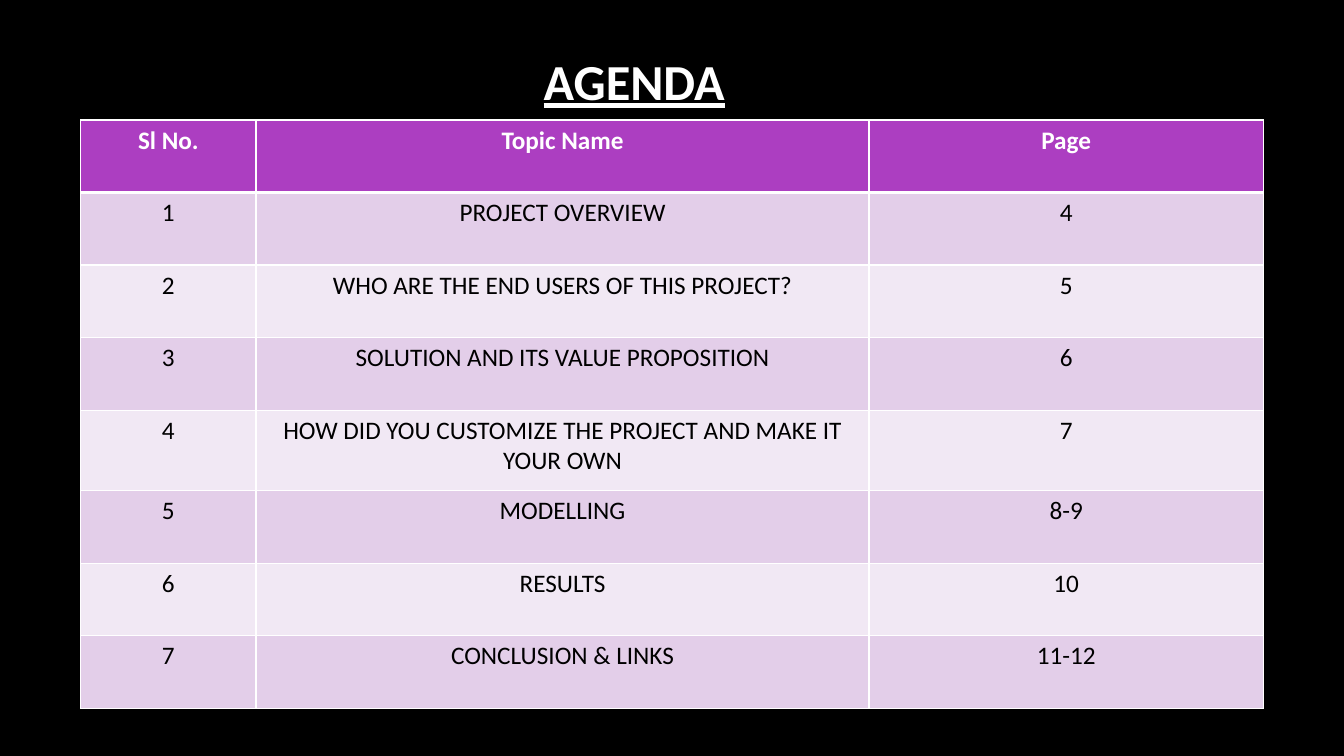
import dataclasses

import pptx
import pptx.dml.color
import pptx.enum.text
import pptx.oxml
import pptx.oxml.ns
import pptx.util

Inches = pptx.util.Inches
Pt = pptx.util.Pt
CENTER = pptx.enum.text.PP_ALIGN.CENTER


@dataclasses.dataclass(frozen=True)
class Theme:
    font: str = "Calibri"
    background: str = "000000"
    light: str = "FFFFFF"
    dark: str = "000000"
    header: str = "AC3EC1"
    bands: tuple = ("E3CEE9", "F1E8F4")
    title_size: int = 36
    body_size: int = 18
    border: int = 1
    header_rule: int = 3


THEME = Theme()

HEADINGS = ("Sl No.", "Topic Name", "Page")
TOPICS = (
    ("PROJECT OVERVIEW", "4"),
    ("WHO ARE THE END USERS OF THIS PROJECT?", "5"),
    ("SOLUTION AND ITS VALUE PROPOSITION", "6"),
    ("HOW DID YOU CUSTOMIZE THE PROJECT AND MAKE IT YOUR OWN", "7"),
    ("MODELLING", "8-9"),
    ("RESULTS", "10"),
    ("CONCLUSION & LINKS", "11-12"),
)
COLUMN_WIDTHS = (1.74, 6.08, 3.91)
ROW_HEIGHT = 0.72
TALL_ROW, TALL_HEIGHT = 4, 0.8  # the topic that wraps onto two lines


def rgb(color):
    return pptx.dml.color.RGBColor.from_string(color)


def write(p, text, size, color, bold=False):
    p.text = text
    p.alignment = CENTER
    p.font.name = THEME.font
    p.font.size = Pt(size)
    p.font.bold = bold
    p.font.color.rgb = rgb(color)


def set_borders(cell, top, bottom):
    widths = {"L": THEME.border, "R": THEME.border, "T": top, "B": bottom}
    for side, width in widths.items():
        cell._tc.get_or_add_tcPr().append(pptx.oxml.parse_xml(
            f'<a:ln{side} {pptx.oxml.ns.nsdecls("a")} w="{Pt(width)}">'
            f'<a:solidFill><a:srgbClr val="{THEME.light}"/></a:solidFill>'
            f'</a:ln{side}>'))


def add_title(slide, left, top, width, height):
    box = slide.shapes.add_textbox(
        Inches(left), Inches(top), Inches(width), Inches(height))
    tf = box.text_frame
    tf.word_wrap = True
    tf.vertical_anchor = pptx.enum.text.MSO_ANCHOR.MIDDLE
    p = tf.paragraphs[0]
    write(p, "AGENDA", THEME.title_size, THEME.light, bold=True)
    p.font.underline = True


def add_agenda_table(slide, left, top, width, height):
    rows = [HEADINGS]
    rows += [(str(n), *topic) for n, topic in enumerate(TOPICS, 1)]
    table = slide.shapes.add_table(
        len(rows), len(HEADINGS),
        Inches(left), Inches(top), Inches(width), Inches(height)).table

    # Column and row sizes
    for column, column_width in zip(table.columns, COLUMN_WIDTHS):
        column.width = Inches(column_width)
    for i, row in enumerate(table.rows):
        row.height = Inches(TALL_HEIGHT if i == TALL_ROW else ROW_HEIGHT)

    # Header row, then alternating bands
    for i, values in enumerate(rows):
        is_header = i == 0
        fill = THEME.header if is_header else THEME.bands[(i - 1) % 2]
        color = THEME.light if is_header else THEME.dark
        rule_above = THEME.header_rule if i == 1 else THEME.border
        rule_below = THEME.header_rule if is_header else THEME.border
        for j, text in enumerate(values):
            cell = table.cell(i, j)
            set_borders(cell, rule_above, rule_below)
            cell.fill.solid()
            cell.fill.fore_color.rgb = rgb(fill)
            write(cell.text_frame.paragraphs[0], text,
                  THEME.body_size, color, bold=is_header)


def main():
    prs = pptx.Presentation()
    prs.slide_width = Inches(13.33)
    prs.slide_height = Inches(7.5)
    slide = prs.slides.add_slide(prs.slide_layouts[6])
    slide.background.fill.solid()
    slide.background.fill.fore_color.rgb = rgb(THEME.background)
    add_title(slide, 0.75, 0, 11.08, 1.59)
    add_agenda_table(slide, 0.8, 1.19, 11.73, 5.84)
    prs.save("out.pptx")


if __name__ == "__main__":
    main()
